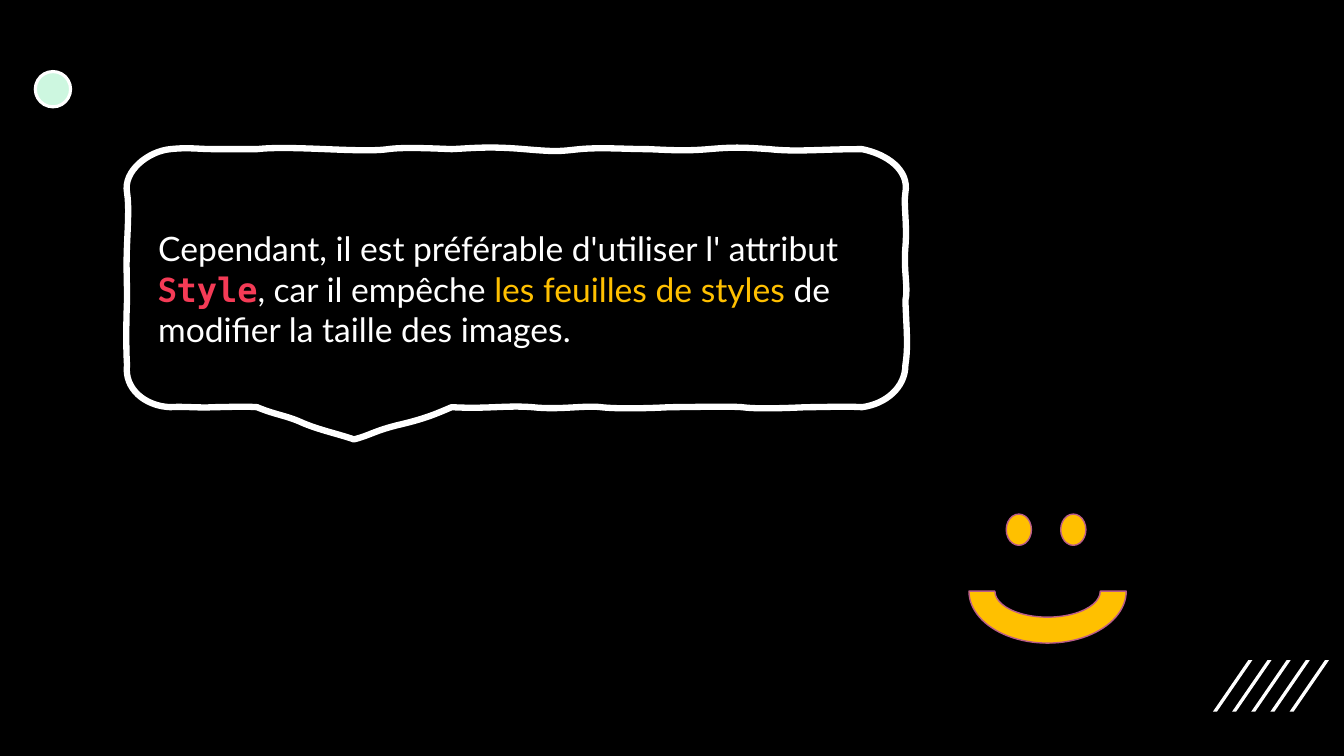
from lxml import etree
from pptx import Presentation
from pptx.dml.color import RGBColor
from pptx.enum.shapes import MSO_SHAPE
from pptx.enum.text import MSO_ANCHOR
from pptx.oxml.ns import qn
from pptx.util import Emu, Pt

PX = 9144
OVAL = MSO_SHAPE.OVAL
ARC = MSO_SHAPE.BLOCK_ARC
MIDDLE = MSO_ANCHOR.MIDDLE
LATO = "Lato"
MONO = "DejaVu Sans Mono"

COLORS = {
    "black": "000000",
    "white": "FFFFFF",
    "mint": "CDF7E0",
    "red": "F43B56",
    "gold": "FFC000",
    "plum": "BA5D89",
}

BUBBLE = (126, 148, 772, 256)
START = (126, 191)
CURVES = [
    (122, 170, 147, 150, 169, 148), (187, 146, 197, 148, 212, 148),
    (227, 148, 240, 148, 255, 148), (272, 146, 298, 147, 323, 148),
    (347, 149, 372, 150, 385, 148), (399, 146, 424, 147, 448, 148),
    (469, 147, 485, 145, 520, 148), (555, 151, 555, 150, 575, 148),
    (596, 146, 621, 148, 643, 148), (666, 149, 680, 150, 703, 148),
    (726, 146, 735, 146, 763, 148), (791, 151, 813, 148, 855, 148),
    (880, 153, 902, 169, 898, 191), (896, 203, 900, 222, 898, 245),
    (896, 269, 901, 286, 898, 298), (899, 327, 901, 343, 898, 362),
    (898, 385, 878, 401, 855, 404), (837, 403, 819, 404, 800, 404),
    (780, 405, 749, 406, 736, 404), (723, 403, 680, 404, 664, 404),
    (648, 405, 612, 406, 596, 404), (580, 402, 555, 407, 528, 404),
    (501, 402, 484, 406, 448, 404), (434, 410, 423, 415, 398, 421),
    (372, 427, 367, 432, 351, 436), (337, 431, 318, 427, 301, 420),
    (284, 412, 274, 412, 255, 404), (241, 403, 225, 404, 212, 404),
    (198, 405, 181, 403, 169, 404), (144, 403, 123, 386, 126, 362),
    (125, 348, 125, 321, 126, 298), (126, 274, 125, 267, 126, 243),
    (127, 220, 128, 204, 126, 191),
]

RUNS = [
    ("Cependant, il est préférable d'utiliser l' attribut ", LATO, "white", False),
    ("S", LATO, "red", True),
    ("tyle", MONO, "red", True),
    (", car il empêche ", LATO, "white", False),
    ("les feuilles de styles ", LATO, "gold", False),
    ("de modifier la taille des images.", LATO, "white", False),
]


def tint(name):
    return RGBColor.from_string(COLORS[name])


def emu(*vals):
    return [Emu(v * PX) for v in vals]


def style(shape, fill=None, line=None, width=1):
    shape.shadow.inherit = False
    if fill:
        shape.fill.solid()
        shape.fill.fore_color.rgb = tint(fill)
    else:
        shape.fill.background()
    if line:
        shape.line.color.rgb = tint(line)
        shape.line.width = Pt(width)
    else:
        shape.line.fill.background()


def add_form(slide, kind, box, **look):
    shape = slide.shapes.add_shape(kind, *emu(*box))
    style(shape, **look)
    return shape


def add_poly(slide, points, **look):
    pen = slide.shapes.build_freeform(*points[0], scale=PX)
    pen.add_line_segments(points[1:], close=True)
    shape = pen.convert_to_shape()
    style(shape, **look)
    return shape


def add_step(track, tag, nums, left, top):
    step = etree.SubElement(track, qn(tag))
    for x, y in zip(nums[::2], nums[1::2]):
        dot = etree.SubElement(step, qn("a:pt"))
        dot.set("x", str(x - left))
        dot.set("y", str(y - top))


def add_curve(slide, box, start, curves, **look):
    left, top, wide, high = box
    right, low = left + wide, top + high
    frame = [(left, top), (right, top), (right, low), (left, low)]
    shape = add_poly(slide, frame, **look)
    track = shape._element.spPr.find(".//" + qn("a:path"))
    for step in list(track):
        track.remove(step)
    add_step(track, "a:moveTo", start, left, top)
    for curve in curves:
        add_step(track, "a:cubicBezTo", curve, left, top)
    etree.SubElement(track, qn("a:close"))


def add_text(slide, box, runs):
    frame = slide.shapes.add_textbox(*emu(*box)).text_frame
    frame.word_wrap = True
    frame.vertical_anchor = MIDDLE
    para = frame.paragraphs[0]
    for text, face, color, bold in runs:
        run = para.add_run()
        run.text = text
        run.font.color.rgb = tint(color)
        form = {"name": face, "size": Pt(24), "bold": bold}
        for key, val in form.items():
            setattr(run.font, key, val)


def main():
    deck = Presentation()
    deck.slide_width, deck.slide_height = emu(1333, 750)
    slide = deck.slides.add_slide(deck.slide_layouts[6])
    back = slide.background.fill
    back.solid()
    back.fore_color.rgb = tint("black")

    for i in range(5):
        x = 1203 + 19 * i
        stripe = [(x + 4, 706), (x, 706), (x + 35, 655), (x + 39, 655)]
        add_poly(slide, stripe, fill="white")
    add_form(slide, OVAL, (35, 71, 35, 35), fill="mint", line="white", width=2.25)

    add_curve(slide, BUBBLE, START, CURVES, line="white", width=4.5)
    add_text(slide, (147, 221, 742, 131), RUNS)

    gold = {"fill": "gold", "line": "plum"}
    for x in (998, 1052):
        add_form(slide, OVAL, (x, 510, 25, 31), **gold)
    smile = add_form(slide, ARC, (961, 535, 156, 103), **gold)
    smile.rotation = 180

    deck.save("out.pptx")


if __name__ == "__main__":
    main()
